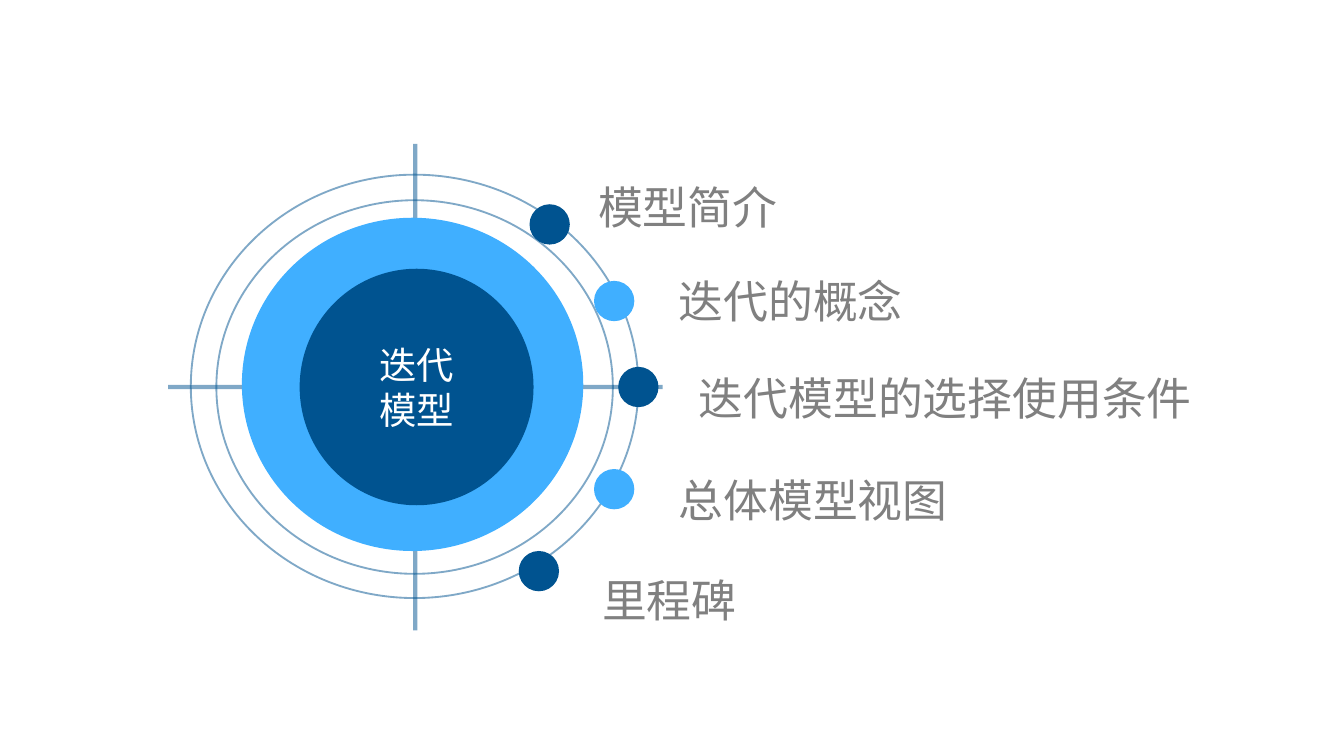
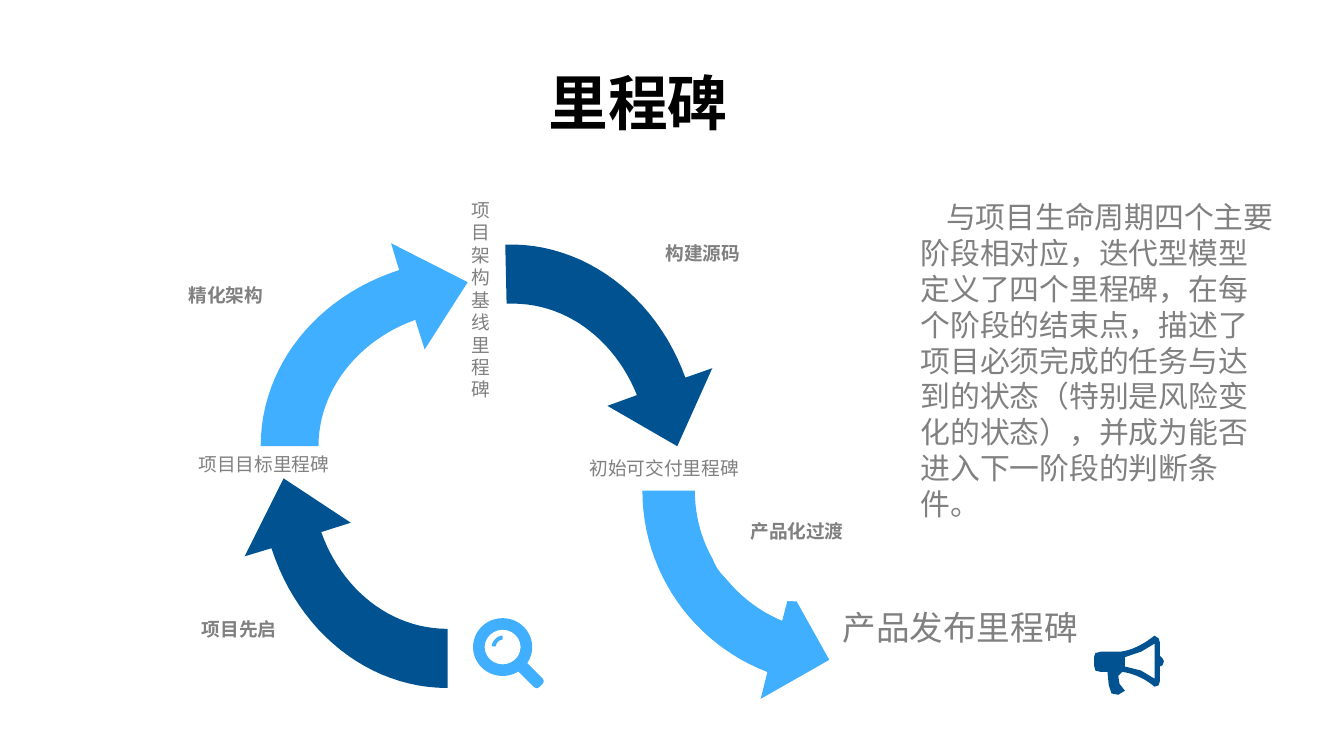
from lxml.etree import SubElement
from pptx import Presentation
from pptx.dml.color import RGBColor
from pptx.enum.shapes import MSO_CONNECTOR, MSO_SHAPE
from pptx.enum.text import MSO_ANCHOR, MSO_AUTO_SIZE, PP_ALIGN
from pptx.oxml.ns import qn
from pptx.util import Inches, Pt

NAVY = RGBColor(0x00, 0x53, 0x90)
SKY = RGBColor(0x40, 0xAF, 0xFF)
GRAY = RGBColor(0x80, 0x80, 0x80)
WHITE = RGBColor(0xFF, 0xFF, 0xFF)
BLACK = RGBColor(0x00, 0x00, 0x00)
CJK = "Noto Sans CJK SC"

TOPICS = [
    ("模型简介", 4.39, 1.31, 1.82, 3.94, 1.52),
    ("迭代的概念", 4.99, 2.01, 1.83, 4.42, 2.09),
    ("迭代模型的选择使用条件", 5.14, 2.73, 4.43, 4.60, 2.73),
    ("总体模型视图", 4.99, 3.49, 2.72, 4.42, 3.49),
    ("里程碑", 4.42, 4.23, 1.82, 3.86, 4.10),
]

ARROWS = [
    (SKY,
     [(5.71, 5), (5.16, 4.79), (4.78, 4.26), (4.78, 3.65)],
     [(5.17, 3.65), (5.17, 4.09), (5.44, 4.46), (5.82, 4.62)],
     [(5.88, 4.39), (6.17, 4.91), (5.66, 5.2)]),
    (NAVY,
     [(5.1, 2.81), (4.88, 2.2), (4.34, 1.8), (3.76, 1.82)],
     [(3.77, 2.26), (4.2, 2.24), (4.57, 2.52), (4.74, 2.94)],
     [(4.52, 3.02), (5.04, 3.32), (5.3, 2.74)]),
    (SKY,
     [(2.97, 2.01), (2.35, 2.21), (1.94, 2.73), (1.94, 3.32)],
     [(2.37, 3.32), (2.37, 2.9), (2.67, 2.53), (3.09, 2.38)],
     [(3.16, 2.6), (3.48, 2.1), (2.91, 1.81)]),
    (NAVY,
     [(2.02, 4.08), (2.22, 4.7), (2.74, 5.12), (3.33, 5.12)],
     [(3.33, 4.68), (2.9, 4.68), (2.54, 4.38), (2.39, 3.96)],
     [(2.61, 3.89), (2.11, 3.56), (1.82, 4.14)]),
]

PHASES = [
    ("项目先启", 1.24, 4.44, 1.12),
    ("精化架构", 1.14, 1.95, 1.12),
    ("构建源码", 4.69, 1.64, 1.12),
    ("产品化过渡", 5.30, 3.71, 1.27),
]

MILESTONES = [
    ("项目目标里程碑", 1.38, 3.32, 1.98, 0.27, 10),
    ("项目架构基线里程碑", 3.41, 1.43, 0.38, 1.62, 10),
    ("初始可交付里程碑", 4.29, 3.35, 1.42, 0.27, 10),
    ("产品发布里程碑", 6.17, 4.47, 2.07, 0.77, 18),
]

SUMMARY = ("与项目生命周期四个主要阶段相对应，迭代型模型定义了四个里程碑，"
           "在每个阶段的结束点，描述了项目必须完成的任务与达到的状态"
           "（特别是风险变化的状态），并成为能否进入下一阶段的判断条件。")

HORN = [(8.35, 5), (8.32, 5.03), (8.33, 5.09), (8.37, 5.14), (8.32, 5.17),
        (8.27, 5.16), (8.25, 5.1), (8.24, 5), (8.19, 5), (8.15, 4.99),
        (8.14, 4.95), (8.14, 4.89), (8.15, 4.86), (8.19, 4.85)]
HORN_RIM = [(8.62, 4.75), (8.63, 4.78), (8.63, 4.88), (8.65, 4.9),
            (8.66, 4.92), (8.65, 4.95), (8.63, 4.96), (8.63, 5.07),
            (8.62, 5.1)]
HORN_HOLE = [(8.59, 4.79), (8.49, 4.85), (8.37, 4.89), (8.37, 4.96),
             (8.49, 4.99), (8.59, 5.05)]


def add_run(p, text, size, color, font=CJK, bold=False):
    r = p.add_run()
    r.text = text
    r.font.size = Pt(size)
    r.font.bold = bold
    r.font.name = font
    r.font.color.rgb = color
    SubElement(r.font._element, qn("a:ea")).set("typeface", CJK)


def fade(line):
    color = line._ln.find(qn("a:solidFill"))[0]
    SubElement(color, qn("a:alpha")).set("val", "50000")


def add_filled(s, kind, x, y, w, h, color):
    sp = s.shapes.add_shape(kind, Inches(x), Inches(y), Inches(w), Inches(h))
    sp.shadow.inherit = False
    sp.fill.solid()
    sp.fill.fore_color.rgb = color
    sp.line.fill.background()
    return sp


def add_ring(s, x, y, w, h):
    sp = add_filled(s, MSO_SHAPE.OVAL, x, y, w, h, WHITE)
    sp.fill.background()
    sp.line.color.rgb = NAVY
    sp.line.width = Pt(1)
    fade(sp.line)


def add_axis(s, x1, y1, x2, y2):
    line = s.shapes.add_connector(MSO_CONNECTOR.STRAIGHT, Inches(x1),
                                  Inches(y1), Inches(x2), Inches(y2))
    line.line.color.rgb = NAVY
    line.line.width = Pt(2.25)
    fade(line.line)
    SubElement(line._element.spPr, qn("a:effectLst"))


def add_label(s, x, y, w, h, lines, size, color=GRAY, align=PP_ALIGN.LEFT):
    tf = s.shapes.add_textbox(Inches(x), Inches(y), Inches(w),
                              Inches(h)).text_frame
    tf.word_wrap = True
    for i, text in enumerate(lines):
        p = tf.add_paragraph() if i else tf.paragraphs[0]
        p.alignment = align
        add_run(p, text, size, color)
    return tf


def add_topic(s, text, x, y, w):
    tf = add_label(s, x, y, w, 0.46, [text], 24)
    tf.vertical_anchor = MSO_ANCHOR.MIDDLE
    tf.margin_left = tf.margin_right = Inches(0.06)
    tf.margin_top = tf.margin_bottom = Inches(0.03)


def add_phase(s, text, x, y, w):
    sp = add_filled(s, MSO_SHAPE.OVAL, x, y, w, 0.76, WHITE)
    sp.line.color.rgb = WHITE
    sp.line.width = Pt(0.75)
    tf = sp.text_frame
    tf.word_wrap = True
    tf.margin_right = 0
    tf.vertical_anchor = MSO_ANCHOR.TOP
    p = tf.paragraphs[0]
    p.alignment = PP_ALIGN.LEFT
    add_run(p, text, 10, GRAY, bold=True)


def place(sp, x, y, w, h):
    sp.left, sp.top, sp.width, sp.height = map(Inches, (x, y, w, h))
    tf = sp.text_frame
    tf.auto_size = MSO_AUTO_SIZE.NONE
    tf.word_wrap = True
    tf.vertical_anchor = MSO_ANCHOR.TOP
    p = tf.paragraphs[0]
    p.alignment = PP_ALIGN.LEFT
    p.line_spacing = 1.0
    p.space_before = Pt(0)
    return p


def curve(p0, p1, p2, p3, steps=24):
    points = []
    for i in range(steps + 1):
        t = i / steps
        u = 1 - t
        points.append(tuple(
            u ** 3 * a + 3 * u * u * t * b + 3 * u * t * t * c + t ** 3 * d
            for a, b, c, d in zip(p0, p1, p2, p3)))
    return points


def add_outline(s, color, *contours):
    emu = [[(Inches(x), Inches(y)) for x, y in c] for c in contours]
    builder = s.shapes.build_freeform(*emu[0][0], scale=1.0)
    for i, points in enumerate(emu):
        if i:
            builder.move_to(*points[0])
        builder.add_line_segments(points[1:], close=True)
    sp = builder.convert_to_shape()
    sp.shadow.inherit = False
    sp.fill.solid()
    sp.fill.fore_color.rgb = color
    sp.line.fill.background()


def add_magnifier(s):
    lens = add_filled(s, MSO_SHAPE.DONUT, 3.52, 4.6, 0.44, 0.43, SKY)
    lens.adjustments[0] = 0.2
    handle = add_filled(s, MSO_SHAPE.ROUNDED_RECTANGLE,
                        3.82, 4.97, 0.24, 0.09, SKY)
    handle.adjustments[0] = 0.3
    handle.rotation = 45
    add_outline(s, SKY,
                curve((3.66, 4.81), (3.66, 4.77), (3.7, 4.73), (3.74, 4.73))
                + curve((3.74, 4.76), (3.71, 4.76), (3.69, 4.79), (3.69, 4.81)))


def add_megaphone(s):
    top = curve((8.33, 4.85), (8.42, 4.84), (8.5, 4.8), (8.59, 4.73))
    bottom = curve((8.59, 5.11), (8.52, 5.05), (8.43, 5.01), (8.35, 5))
    add_outline(s, NAVY, top + HORN_RIM + bottom + HORN, HORN_HOLE)


def build_overview(prs):
    s = prs.slides.add_slide(prs.slide_layouts[6])
    add_axis(s, 1.25, 2.88, 4.93, 2.88)
    add_axis(s, 3.09, 1.07, 3.09, 4.69)
    add_ring(s, 1.61, 1.49, 2.95, 2.78)
    add_ring(s, 1.42, 1.3, 3.33, 3.15)
    add_filled(s, MSO_SHAPE.OVAL, 1.8, 1.62, 2.54, 2.48, SKY)
    add_filled(s, MSO_SHAPE.OVAL, 2.23, 2, 1.74, 1.76, NAVY)
    for i, (text, x, y, w, dot_x, dot_y) in enumerate(TOPICS):
        add_topic(s, text, x, y, w)
        add_filled(s, MSO_SHAPE.OVAL, dot_x, dot_y, 0.3, 0.3,
                   SKY if i % 2 else NAVY)
    add_label(s, 2.52, 2.5, 1.16, 0.75, ["迭代", "模型"], 20, WHITE,
              PP_ALIGN.CENTER)


def build_milestones(prs):
    s = prs.slides.add_slide(prs.slide_layouts[1])
    for color, outer, inner, head in ARROWS:
        add_outline(s, color, curve(*outer) + curve(*inner) + head)
    add_magnifier(s)
    add_megaphone(s)
    for phase in PHASES:
        add_phase(s, *phase)
    for text, x, y, w, h, size in MILESTONES:
        add_label(s, x, y, w, h, [text], size)

    p = place(s.shapes.title, 3.98, 0.44, 1.57, 0.64)
    add_run(p, "里程碑", 32, BLACK, bold=True)

    p = place(s.placeholders[1], 6.75, 1.43, 2.84, 2.52)
    pPr = p._p.get_or_add_pPr()
    pPr.set("marL", "0")
    pPr.set("indent", str(Inches(0.19)))
    pPr.set("hangingPunct", "0")
    SubElement(pPr, qn("a:buNone"))
    add_run(p, SUMMARY, 16, GRAY, font="Arial")


def main():
    prs = Presentation()
    prs.slide_width = Inches(10)
    prs.slide_height = Inches(10 * 9 / 16)
    build_overview(prs)
    build_milestones(prs)
    prs.save("out.pptx")


if __name__ == "__main__":
    main()
